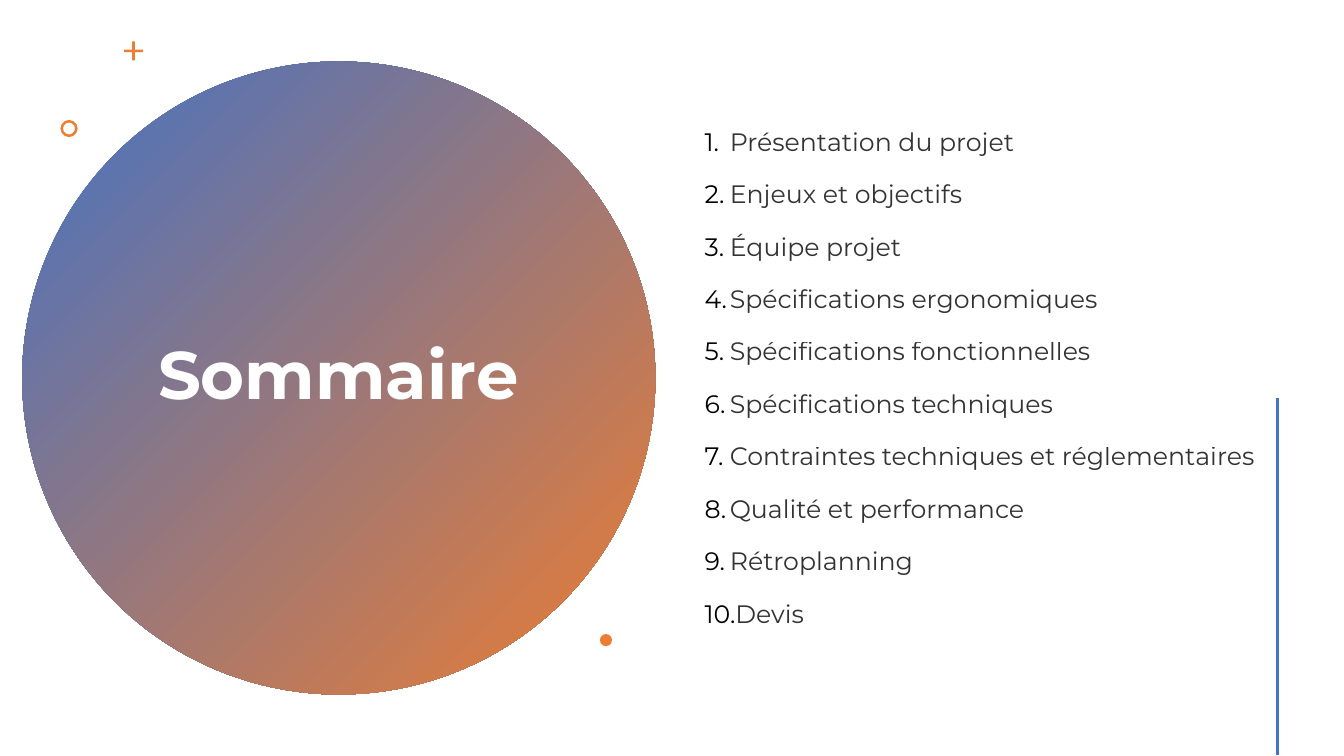
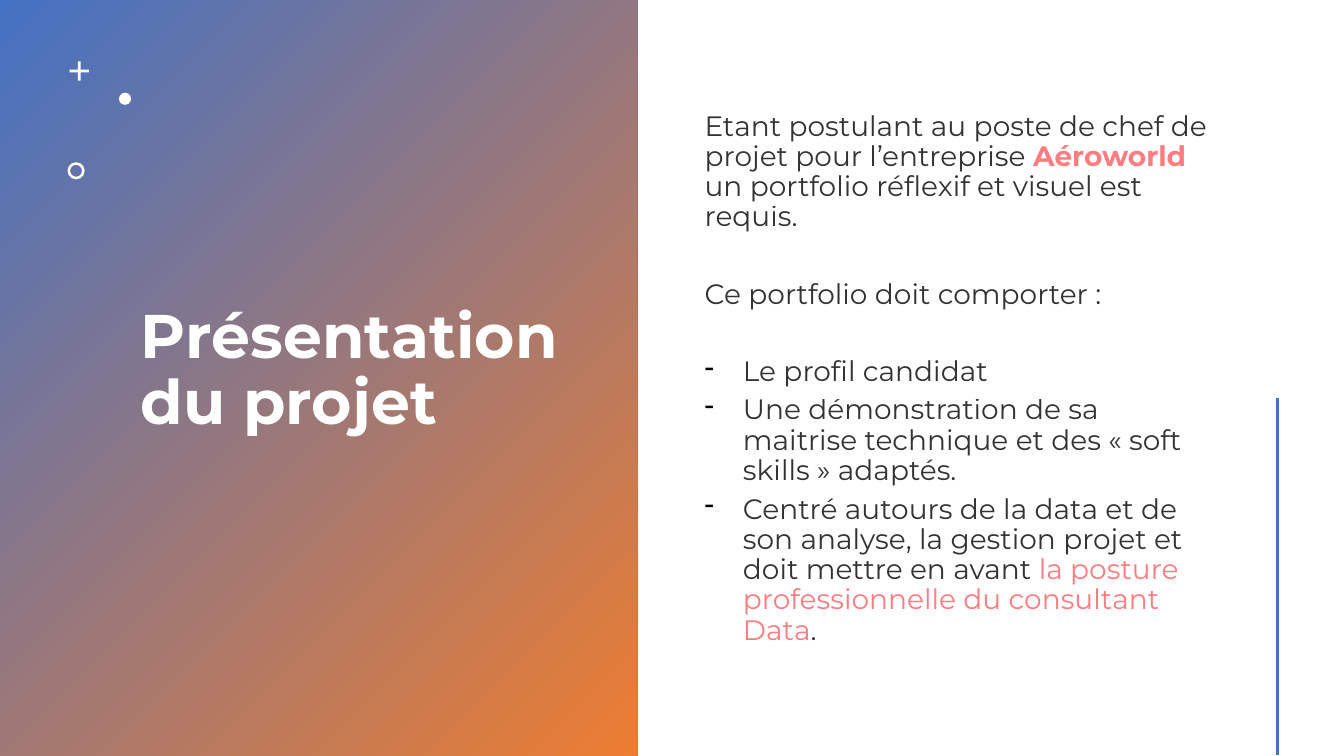
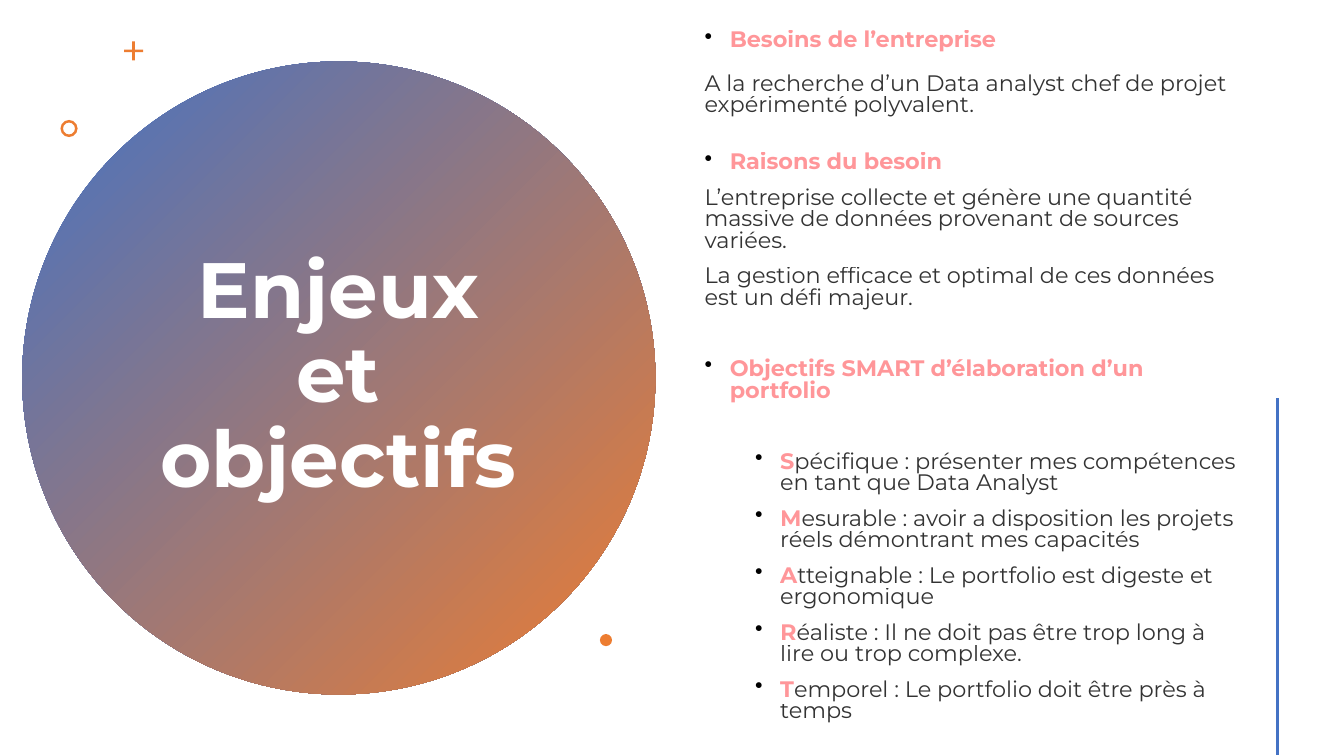
from dataclasses import dataclass

import pptx
import pptx.dml.color
import pptx.enum.shapes
import pptx.enum.text
import pptx.oxml
import pptx.oxml.ns
import pptx.util

Inches = pptx.util.Inches
Pt = pptx.util.Pt
Shapes = pptx.enum.shapes.MSO_SHAPE
Align = pptx.enum.text.PP_ALIGN
qn = pptx.oxml.ns.qn


@dataclass(frozen=True)
class Ink:
    color: str
    opacity: int = 100
    bold: bool = False


@dataclass(frozen=True)
class Theme:
    font: str = "Montserrat"
    blue: str = "4472C4"
    orange: str = "ED7D31"
    white: str = "FFFFFF"
    title: Ink = Ink("FFFFFF", bold=True)
    body: Ink = Ink("000000", 80)
    name: Ink = Ink("FF7C80", bold=True)
    stress: Ink = Ink("FF7C80")
    heading: Ink = Ink("FF7C80", 80, True)
    summary_title: int = 48
    section_title: int = 44
    circle_title: int = 56
    summary_size: int = 18
    project_size: int = 20
    goals_size: int = 16
    rule_width: int = 2


THEME = Theme()


@dataclass(frozen=True)
class Row:
    """One paragraph: spans are (text, ink) pairs; indents in inches, gaps in points."""
    spans: tuple
    bullet: str = ""
    left: float = 0
    hang: float = 0
    before: float = 0
    after: float = 0
    align: Align = Align.LEFT


@dataclass(frozen=True)
class Box:
    left: float
    top: float
    width: float
    height: float

    def inner(self, dx, dy, width, height):
        return Box(self.left + dx, self.top + dy, width, height)

    def lengths(self):
        return [Inches(v) for v in (self.left, self.top, self.width, self.height)]


CIRCLE = Box(0.22, 0.61, 6.28, 6.28)
BAND = Box(0, 0, 6.32, 7.5)
NUMBERED = "1."


def rgb(value):
    return pptx.dml.color.RGBColor.from_string(value)


def add_xml(parent, tag, **attributes):
    child = parent.makeelement(qn(tag), attributes)
    parent.append(child)
    return child


def add_bullet(para, row):
    props = para._p.get_or_add_pPr()
    props.set("marL", str(Inches(row.left)))
    props.set("indent", str(Inches(-row.hang)))
    add_xml(add_xml(props, "a:buClr"), "a:srgbClr", val="000000")
    if row.bullet == NUMBERED:
        add_xml(props, "a:buAutoNum", type="arabicPeriod")
    else:
        add_xml(props, "a:buChar", char=row.bullet)


def add_span(para, text, ink, size):
    span = para.add_run()
    span.text = text
    span.font.name = THEME.font
    span.font.size = Pt(size)
    span.font.bold = ink.bold
    span.font.color.rgb = rgb(ink.color)
    if ink.opacity < 100:
        color = span._r.find(".//" + qn("a:srgbClr"))
        add_xml(color, "a:alpha", val=str(ink.opacity * 1000))


def add_text(page, box, rows, size, leading=0.9):
    frame = page.shapes.add_textbox(*box.lengths()).text_frame
    frame.word_wrap = True
    frame.vertical_anchor = pptx.enum.text.MSO_ANCHOR.MIDDLE
    for index, row in enumerate(rows):
        para = frame.add_paragraph() if index else frame.paragraphs[0]
        para.alignment = row.align
        para.line_spacing = leading
        para.space_before = Pt(row.before)
        para.space_after = Pt(row.after)
        if row.bullet:
            add_bullet(para, row)
        for text, ink in row.spans:
            add_span(para, text, ink, size)


def add_shape(page, kind, box):
    shape = page.shapes.add_shape(kind, *box.lengths())
    shape.shadow.inherit = False
    shape.line.fill.background()
    return shape


def add_gradient_panel(page, kind, box):
    fill = add_shape(page, kind, box).fill
    fill.gradient()
    fill.gradient_angle = 315
    for stop, position, color in zip(fill.gradient_stops, (0, 1), (THEME.blue, THEME.orange)):
        stop.position = position
        stop.color.rgb = rgb(color)


def add_marks(page, box, color, plus, ring, dot):
    """Small plus, ring and dot, each at an offset from the panel's corner."""
    marks = (
        (Shapes.CROSS, plus, 0.19, 0.43),
        (Shapes.DONUT, ring, 0.17, 0.15),
        (Shapes.OVAL, dot, 0.12, None),
    )
    for kind, offset, side, adjustment in marks:
        mark = add_shape(page, kind, box.inner(*offset, side, side))
        mark.fill.solid()
        mark.fill.fore_color.rgb = rgb(color)
        if adjustment is not None:
            mark.adjustments[0] = adjustment


def add_circle_panel(page, box, title, size):
    add_gradient_panel(page, Shapes.OVAL, box)
    row = Row(((title, THEME.title),), align=Align.CENTER)
    add_text(page, box.inner(1.14, 0.8, 3.99, 4.67), [row], size)
    add_marks(page, box, THEME.orange, plus=(1.01, -0.2), ring=(0.38, 0.58), dot=(5.73, 5.68))


def add_band_panel(page, box, title, size):
    add_gradient_panel(page, Shapes.RECTANGLE, box)
    row = Row(((title, THEME.title),))
    add_text(page, box.inner(1.3, 0.42, 4.38, 6.53), [row], size)
    add_marks(page, box, THEME.white, plus=(0.69, 0.61), ring=(0.67, 1.61), dot=(1.18, 0.92))


def add_page(deck):
    """Blank page with the vertical rule at lower right."""
    page = deck.slides.add_slide(deck.slide_layouts[6])
    rule = page.shapes.add_connector(
        pptx.enum.shapes.MSO_CONNECTOR.STRAIGHT,
        Inches(12.67), Inches(3.95), Inches(12.67), Inches(7.49))
    rule.line.color.rgb = rgb(THEME.blue)
    rule.line.width = Pt(THEME.rule_width)
    add_xml(rule.element.spPr, "a:effectLst")
    return page


def build_summary(deck):
    page = add_page(deck)
    add_circle_panel(page, CIRCLE, "Sommaire", THEME.summary_title)
    chapters = (
        "Présentation du projet",
        "Enjeux et objectifs",
        "Équipe projet",
        "Spécifications ergonomiques",
        "Spécifications fonctionnelles",
        "Spécifications techniques",
        "Contraintes techniques et réglementaires",
        "Qualité et performance",
        "Rétroplanning",
        "Devis",
    )
    rows = [Row(((chapter, THEME.body),), NUMBERED, 0.25, 0.25, before=18 if index else 0)
            for index, chapter in enumerate(chapters)]
    add_text(page, Box(6.89, 0.57, 5.78, 6.38), rows, THEME.summary_size)


def build_project(deck):
    page = add_page(deck)
    add_band_panel(page, BAND, "Présentation du projet", THEME.section_title)
    gap, wide_gap = 6, 33.5
    items = (
        (("Le profil candidat", THEME.body),),
        (("Une démonstration de sa maitrise technique et des « soft skills » adaptés.",
          THEME.body),),
        (("Centré autours de la data et de son analyse, la gestion projet et doit "
          "mettre en avant ", THEME.body),
         ("la posture professionnelle du consultant Data", THEME.stress),
         (".", THEME.body)),
    )
    rows = [
        Row((("Etant postulant au poste de chef de projet pour l’entreprise ", THEME.body),
             ("Aéroworld", THEME.name),
             (" un portfolio réflexif et visuel est requis.", THEME.body)), after=wide_gap),
        Row((("Ce portfolio doit comporter :", THEME.body),), after=wide_gap),
    ]
    rows += [Row(spans, "-", 0.38, 0.38, after=gap) for spans in items]
    add_text(page, Box(6.89, 0.57, 5.22, 6.38), rows, THEME.project_size)


def build_goals(deck):
    page = add_page(deck)
    add_circle_panel(page, CIRCLE, "Enjeux et objectifs", THEME.circle_title)
    gap, blank_line = 10, 15.5

    def heading(text, before=0):
        return Row(((text, THEME.heading),), "•", 0.25, 0.25, before)

    def plain(text, before):
        return Row(((text, THEME.body),), before=before)

    goals = (
        "Spécifique : présenter mes compétences en tant que Data Analyst",
        "Mesurable : avoir a disposition les projets réels démontrant mes capacités",
        "Atteignable : Le portfolio est digeste et ergonomique",
        "Réaliste : Il ne doit pas être trop long à lire ou trop complexe.",
        "Temporel : Le portfolio doit être près à temps",
    )
    rows = [
        heading("Besoins de l’entreprise"),
        plain("A la recherche d’un Data analyst chef de projet expérimenté polyvalent.",
              blank_line),
        heading("Raisons du besoin", gap + blank_line),
        plain("L’entreprise collecte et génère une quantité massive de données provenant "
              "de sources variées.", gap),
        plain("La gestion efficace et optimal de ces données est un défi majeur.", gap),
        heading("Objectifs SMART d’élaboration d’un portfolio", 2 * gap + blank_line),
    ]
    rows += [Row(((goal[0], THEME.heading), (goal[1:], THEME.body)), "•", 0.75, 0.25,
                 before=gap if index else 2 * gap + blank_line)
             for index, goal in enumerate(goals)]
    add_text(page, Box(6.89, 0.15, 5.49, 7.18), rows, THEME.goals_size, leading=0.8)


def main():
    deck = pptx.Presentation()
    deck.slide_width = Inches(13.33)
    deck.slide_height = Inches(7.5)
    for build in (build_summary, build_project, build_goals):
        build(deck)
    deck.save("out.pptx")


if __name__ == "__main__":
    main()
